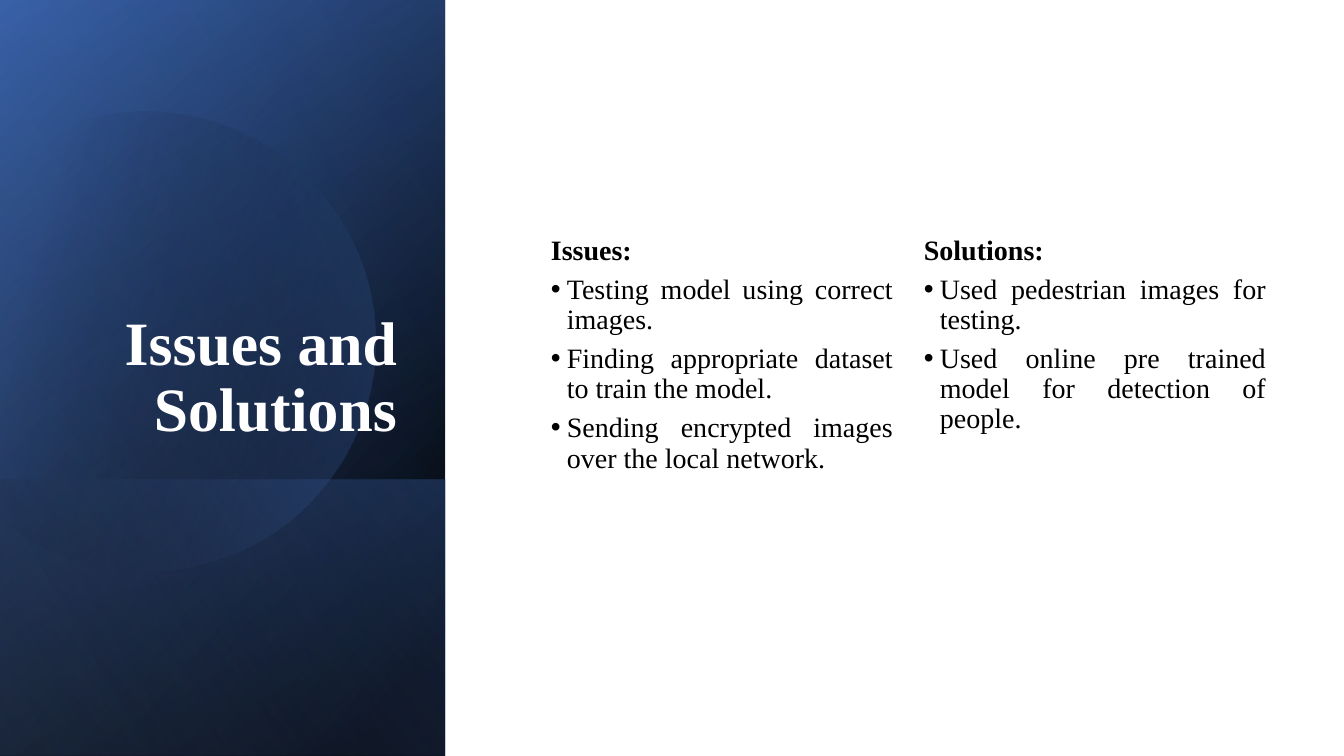
from math import cos, radians, sin, tan

from pptx import Presentation
from pptx.dml.color import RGBColor
from pptx.enum.shapes import MSO_SHAPE as SHAPE
from pptx.enum.text import MSO_ANCHOR as ANCHOR, PP_ALIGN as ALIGN
from pptx.oxml import parse_xml
from pptx.oxml.ns import nsdecls, qn
from pptx.util import Pt

TITLE = "Issues and Solutions"
COLUMNS = [
    ("Issues:", [
        "Testing model using correct images.",
        "Finding appropriate dataset to train the model.",
        "Sending encrypted images over the local network.",
    ]),
    ("Solutions:", [
        "Used pedestrian images for testing.",
        "Used online pre trained model for detection of people.",
    ]),
]
FONT = "Times New Roman"
WIDTH, HEIGHT, PANEL_W = 1344, 756, 445
BAND_TOP = 480
BASE_LAYERS = [
    (0, [(8, "000000", 100), (100, "2F5597", 100)], 50),
    (0, [(0, "000000", 0), (99, "4472C4", 46)], 30),
    (BAND_TOP, [(2, "4472C4", 29), (100, "000000", 30)], 130),
]
DISC_STOPS = [(29, "000000", 0), (100, "4472C4", 43)]
SHEEN_LAYER = (0, [(0, "000000", 0), (99, "8FAADC", 11)], 120)
DISC_X, DISC_Y, DISC_R, DISC_TURN = 145, 337, 230, 343.9
DISC_ANGLES = [-118, -90, 0, 90, 150]
COLUMN_X, COLUMN_Y, COLUMN_W, COLUMN_H, COLUMN_STEP = 541, 231, 362, 304, 373
INDENT = 16


def px(n):
    return round(n * 914400 / 100.8)


def rgb(color):
    return RGBColor.from_string(color)


def paint(sp, stops, angle):
    sp.shadow.inherit = False
    sp.line.fill.background()
    sp.fill.gradient()
    sp.fill.gradient_angle = 360 - angle
    for stop, (position, color, _) in zip(sp.fill.gradient_stops, stops):
        stop.position = position / 100
        stop.color.rgb = rgb(color)
    colors = sp.element.spPr.find(qn("a:gradFill")).iter(qn("a:srgbClr"))
    for node, (_, _, alpha) in zip(colors, stops):
        if alpha < 100:
            node.append(parse_xml(f'<a:alpha {nsdecls("a")} val="{alpha * 1000}"/>'))


def add_layer(shapes, top, stops, angle):
    h = HEIGHT - top
    left, y = (PANEL_W - h) / 2, top + (h - PANEL_W) / 2
    sp = shapes.add_shape(SHAPE.RECTANGLE, px(left), px(y), px(h), px(PANEL_W))
    sp.rotation = 90
    sp.element.spPr.get_or_add_xfrm().set("flipH", "1")
    paint(sp, stops, angle)


def disc_point(degree, pull=0):
    a = radians(degree)
    x = DISC_X + DISC_R * (cos(a) - pull * sin(a))
    y = DISC_Y + DISC_R * (sin(a) + pull * cos(a))
    return px(x), px(y)


def add_disc(shapes):
    points = [disc_point(a) for a in DISC_ANGLES]
    builder = shapes.build_freeform(*points[0])
    builder.add_line_segments(points[1:], close=True)
    sp = builder.convert_to_shape()
    lines = list(sp.element.spPr.iter(qn("a:lnTo")))
    for line, start, end in zip(lines, DISC_ANGLES, DISC_ANGLES[1:]):
        pull = 4 / 3 * tan(radians(end - start) / 4)
        curve = (disc_point(start, pull), disc_point(end, -pull), disc_point(end))
        pts = "".join(f'<a:pt x="{x - sp.left}" y="{y - sp.top}"/>' for x, y in curve)
        arc = parse_xml(f'<a:cubicBezTo {nsdecls("a")}>{pts}</a:cubicBezTo>')
        line.getparent().replace(line, arc)
    sp.rotation = DISC_TURN
    paint(sp, DISC_STOPS, 30)


def add_text(shapes, box, lines, size, color, align, anchor):
    tf = shapes.add_textbox(*map(px, box)).text_frame
    tf.word_wrap = True
    tf.vertical_anchor = anchor
    tf.text = "\n".join(lines)
    for i, p in enumerate(tf.paragraphs):
        p.alignment = align
        p.line_spacing = 0.9
        p.space_before = Pt(6.3 if len(lines) > 1 else 0)
        font = p.runs[0].font
        font.name, font.size, font.bold = FONT, Pt(size), i == 0
        font.color.rgb = rgb(color)
        if i:
            pPr = p._p.get_or_add_pPr()
            pPr.set("marL", str(px(INDENT)))
            pPr.set("indent", str(-px(INDENT)))
            pPr.append(parse_xml(f'<a:buFont {nsdecls("a")} typeface="Arial"/>'))
            pPr.append(parse_xml(f'<a:buChar {nsdecls("a")} char="•"/>'))


def main():
    prs = Presentation()
    prs.slide_width, prs.slide_height = px(WIDTH), px(HEIGHT)
    s = prs.slides.add_slide(prs.slide_layouts[6])
    for layer in BASE_LAYERS:
        add_layer(s.shapes, *layer)
    add_disc(s.shapes)
    add_layer(s.shapes, *SHEEN_LAYER)
    add_text(s.shapes, (64, 186, 343, 264), [TITLE], 44, "FFFFFF", ALIGN.RIGHT, ANCHOR.BOTTOM)
    for i, (heading, points) in enumerate(COLUMNS):
        box = (COLUMN_X + i * COLUMN_STEP, COLUMN_Y, COLUMN_W, COLUMN_H)
        add_text(s.shapes, box, [heading, *points], 20, "000000", ALIGN.JUSTIFY, ANCHOR.TOP)
    prs.save("out.pptx")


if __name__ == "__main__":
    main()
